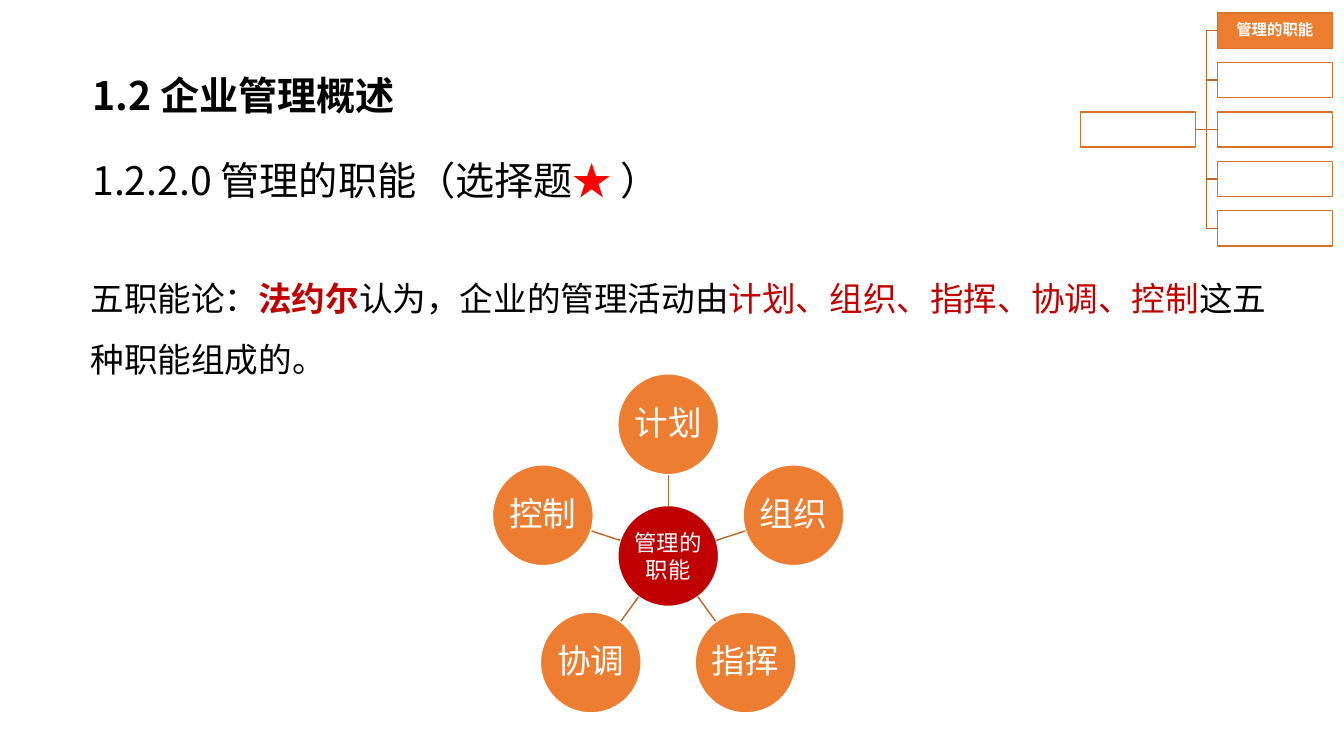
from math import cos, radians, sin

from lxml import etree
from pptx import Presentation
from pptx.dml.color import RGBColor
from pptx.enum.shapes import MSO_CONNECTOR as Connector, MSO_SHAPE as Preset
from pptx.enum.text import MSO_ANCHOR as Anchor, MSO_AUTO_SIZE as AutoSize, PP_ALIGN as Align
from pptx.oxml.ns import qn
from pptx.util import Cm, Pt

BLACK = RGBColor(0x00, 0x00, 0x00)
WHITE = RGBColor(0xFF, 0xFF, 0xFF)
RED = RGBColor(0xFF, 0x00, 0x00)
DARK_RED = RGBColor(0xC0, 0x00, 0x00)
ORANGE = RGBColor(0xED, 0x7D, 0x31)
BOX_LINE = RGBColor(0xD7, 0x71, 0x2C)
LINK_LINE = RGBColor(0xBE, 0x64, 0x27)

SC_FONT = "Noto Sans CJK SC"
JP_FONT = "Noto Sans CJK JP"

TOPIC = "管理的职能"
FUNCTIONS = ["计划", "组织", "指挥", "协调", "控制"]


def format_run(run, size, color, font_name=SC_FONT, bold=False):
    """Format a run, giving its Latin and East Asian text the same font."""
    font = run.font
    font.size = Pt(size)
    font.bold = bold
    font.name = font_name
    font.color.rgb = color
    etree.SubElement(run._r.get_or_add_rPr(), qn("a:ea"), typeface=font_name)


def set_margins(text_frame, horizontal, vertical):
    text_frame.margin_left = text_frame.margin_right = horizontal
    text_frame.margin_top = text_frame.margin_bottom = vertical


def add_title(slide, left, top, width, height):
    title = slide.shapes.title
    title.left, title.top, title.width, title.height = left, top, width, height
    text_frame = title.text_frame
    text_frame.text = "1.2 企业管理概述"
    text_frame.word_wrap = True
    text_frame.auto_size = AutoSize.SHAPE_TO_FIT_TEXT
    text_frame.vertical_anchor = Anchor.TOP
    set_margins(text_frame, Cm(0.3), Cm(0.15))
    paragraph = text_frame.paragraphs[0]
    paragraph.alignment = Align.LEFT
    format_run(paragraph.runs[0], 28, BLACK, bold=True)


def add_rich_text(slide, left, top, width, height, size, pieces):
    """Add one paragraph made of (text, colour, bold) pieces."""
    text_frame = slide.shapes.add_textbox(left, top, width, height).text_frame
    text_frame.word_wrap = True
    paragraph = text_frame.paragraphs[0]
    paragraph.line_spacing = 1.5
    for text, color, bold in pieces:
        run = paragraph.add_run()
        run.text = text
        format_run(run, size, color, bold=bold)
    return text_frame


def add_subheading(slide, left, top, width, height):
    text_frame = add_rich_text(slide, left, top, width, height, 28, [
        ("1.2.2.0 管理的职能（选择题", BLACK, False),
        ("★ ", RED, False),
        ("）", BLACK, False),
    ])
    text_frame.vertical_anchor = Anchor.MIDDLE
    set_margins(text_frame, Cm(0.3), Cm(0.15))


def add_statement(slide, left, top, width, height):
    text_frame = add_rich_text(slide, left, top, width, height, 24, [
        ("五职能论：", BLACK, False),
        ("法约尔", DARK_RED, True),
        ("认为，企业的管理活动由", BLACK, False),
        ("、".join(FUNCTIONS), DARK_RED, False),
        ("这五种职能组成的。", BLACK, False),
    ])
    text_frame.auto_size = AutoSize.SHAPE_TO_FIT_TEXT


def add_node(slide, preset, left, top, width, height, fill, line):
    node = slide.shapes.add_shape(preset, left, top, width, height)
    node.shadow.inherit = False
    node.fill.solid()
    node.fill.fore_color.rgb = fill
    node.line.color.rgb = line
    node.line.width = Pt(1)
    return node


def label_node(node, text, size, font_name, bold=False, line_spacing=0.9):
    text_frame = node.text_frame
    text_frame.text = text
    text_frame.word_wrap = True
    text_frame.vertical_anchor = Anchor.MIDDLE
    set_margins(text_frame, Cm(0.03), Cm(0.03))
    paragraph = text_frame.paragraphs[0]
    paragraph.alignment = Align.CENTER
    paragraph.line_spacing = line_spacing
    format_run(paragraph.runs[0], size, WHITE, font_name, bold)


def add_link(slide, kind, begin_x, begin_y, end_x, end_y):
    link = slide.shapes.add_connector(kind, begin_x, begin_y, end_x, end_y)
    link.line.color.rgb = LINK_LINE
    link.line.width = Pt(1)
    etree.SubElement(link._element.spPr, qn("a:effectLst"))
    return link


def add_function_wheel(slide, center_x, center_y, radius, diameter):
    """Place the functions clockwise from the top, around the topic."""
    def point(angle, distance):
        return (int(center_x + distance * sin(angle)),
                int(center_y - distance * cos(angle)))

    def add_circle(x, y, fill):
        return add_node(slide, Preset.OVAL, x - diameter // 2, y - diameter // 2,
                        diameter, diameter, fill, WHITE)

    hub = add_circle(center_x, center_y, DARK_RED)
    label_node(hub, TOPIC, 16, JP_FONT, line_spacing=1.0)
    for index, function in enumerate(FUNCTIONS):
        angle = radians(index * 360 / len(FUNCTIONS))
        add_link(slide, Connector.STRAIGHT, *point(angle, diameter / 2),
                 *point(angle, radius - diameter / 2))
        circle = add_circle(*point(angle, radius), ORANGE)
        label_node(circle, function, 24, JP_FONT)


def add_topic_tree(slide, left, top, width, height):
    """Place a root box on the left and five branches on the right."""
    box_width, box_height = Cm(2.9), Cm(0.89)
    branch_count = 5
    pitch = (height - box_height) // (branch_count - 1)
    middle = branch_count // 2
    branch_left = left + width - box_width

    root = add_node(slide, Preset.RECTANGLE, left, top + middle * pitch,
                    box_width, box_height, WHITE, BOX_LINE)
    for index in range(branch_count):
        branch = add_node(slide, Preset.RECTANGLE, branch_left, top + index * pitch,
                          box_width, box_height, WHITE, BOX_LINE)
        if index == 0:
            branch.fill.fore_color.rgb = ORANGE
            label_node(branch, TOPIC, 11, SC_FONT, bold=True)
        kind = Connector.STRAIGHT if index == middle else Connector.ELBOW
        link = add_link(slide, kind, left + box_width, root.top + box_height // 2,
                        branch_left, branch.top + box_height // 2)
        link.begin_connect(root, 3)
        link.end_connect(branch, 1)


def main():
    presentation = Presentation()
    presentation.slide_width = Cm(33.87)
    presentation.slide_height = Cm(19.05)
    slide = presentation.slides.add_slide(presentation.slide_layouts.get_by_name("Title Only"))

    add_title(slide, Cm(2.03), Cm(1.65), Cm(29.08), Cm(1.5))
    add_statement(slide, Cm(2.03), Cm(6.38), Cm(30.7), Cm(3.15))
    add_function_wheel(slide, Cm(16.84), Cm(14.01), Cm(3.32), Cm(2.54))
    add_subheading(slide, Cm(2.03), Cm(2.92), Cm(30.89), Cm(2.64))
    add_topic_tree(slide, Cm(27.23), Cm(0.33), Cm(6.35), Cm(5.87))

    presentation.save("out.pptx")


if __name__ == "__main__":
    main()
